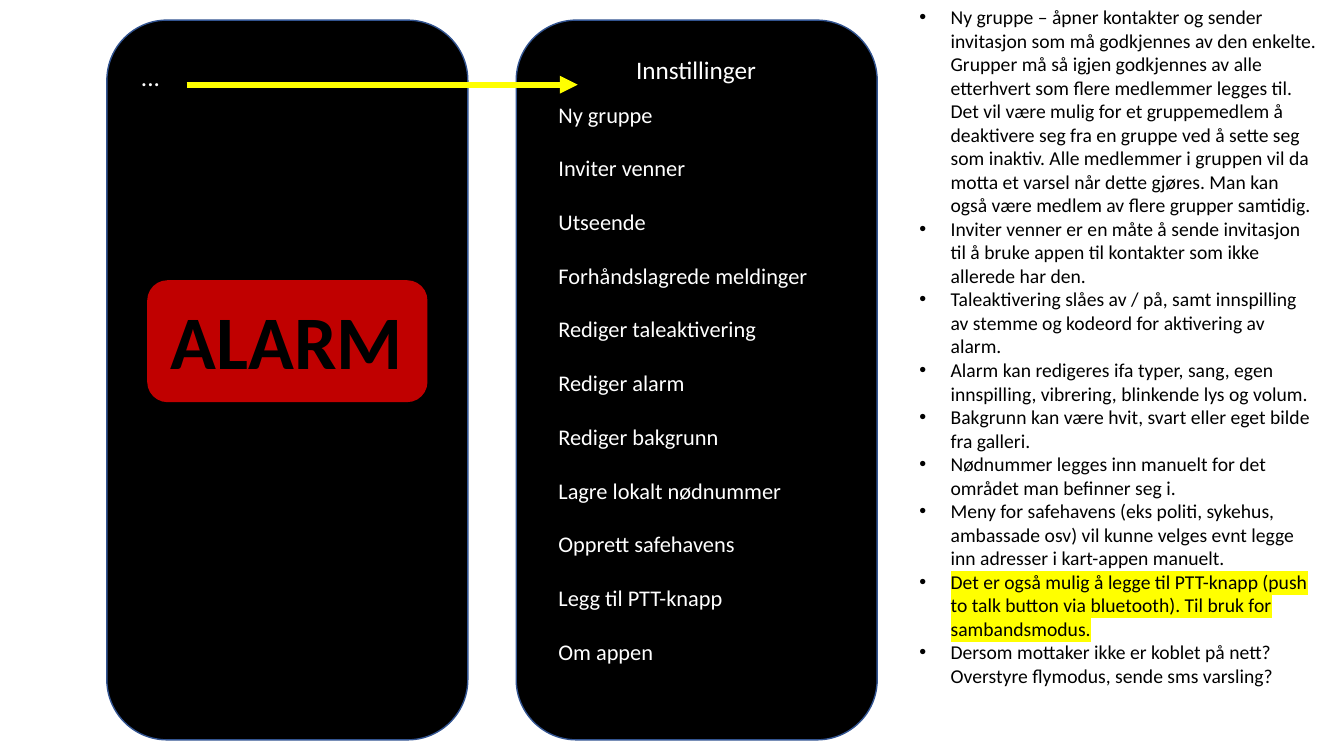
import dataclasses
import typing

import lxml.etree
import pptx
import pptx.dml.color
import pptx.enum.shapes
import pptx.enum.text
import pptx.oxml.ns
import pptx.util

Inches = pptx.util.Inches
Pt = pptx.util.Pt
qn = pptx.oxml.ns.qn

COLORS = {
    "black": "000000",
    "white": "FFFFFF",
    "alarm": "C00000",
    "edge": "325491",
    "yellow": "FFFF00",
}
FONT = "Calibri"
BULLET_INDENT = Inches(0.31)

MENU = [
    "Ny gruppe",
    "Inviter venner",
    "Utseende",
    "Forhåndslagrede meldinger",
    "Rediger taleaktivering",
    "Rediger alarm",
    "Rediger bakgrunn",
    "Lagre lokalt nødnummer",
    "Opprett safehavens",
    "Legg til PTT-knapp",
    "Om appen",
]
PTT_NOTE = (
    "Det er også mulig å legge til PTT-knapp (push to talk button via bluetooth). "
    "Til bruk for sambandsmodus."
)
NOTES = [
    "Ny gruppe – åpner kontakter og sender invitasjon som må godkjennes av den enkelte. "
    "Grupper må så igjen godkjennes av alle etterhvert som flere medlemmer legges til. "
    "Det vil være mulig for et gruppemedlem å deaktivere seg fra en gruppe ved å sette seg "
    "som inaktiv. Alle medlemmer i gruppen vil da motta et varsel når dette gjøres. "
    "Man kan også være medlem av flere grupper samtidig.",
    "Inviter venner er en måte å sende invitasjon til å bruke appen til kontakter som ikke "
    "allerede har den.",
    "Taleaktivering slåes av / på, samt innspilling av stemme og kodeord for aktivering av "
    "alarm.",
    "Alarm kan redigeres ifa typer, sang, egen innspilling, vibrering, blinkende lys og volum.",
    "Bakgrunn kan være hvit, svart eller eget bilde fra galleri.",
    "Nødnummer legges inn manuelt for det området man befinner seg i.",
    "Meny for safehavens (eks politi, sykehus, ambassade osv) vil kunne velges evnt legge inn "
    "adresser i kart-appen manuelt.",
    PTT_NOTE,
    "Dersom mottaker ikke er koblet på nett? Overstyre flymodus, sende sms varsling?",
]


@dataclasses.dataclass
class Panel:
    left: float
    top: float
    width: float
    height: float
    fill: str
    edge: typing.Optional[str] = None


@dataclasses.dataclass
class Label:
    left: float
    top: float
    width: float
    height: float
    lines: list[str]
    size: float
    color: str = "white"
    wrap: bool = True
    bold: bool = False
    centered: bool = False
    bulleted: bool = False
    gap: float = 0
    outline: typing.Optional[str] = None
    highlighted: tuple[str, ...] = ()


def rgb(name: str) -> pptx.dml.color.RGBColor:
    return pptx.dml.color.RGBColor.from_string(COLORS[name])


def add_color(parent, tag: str, name: str) -> None:
    holder = lxml.etree.SubElement(parent, qn(tag))
    lxml.etree.SubElement(holder, qn("a:srgbClr"), val=COLORS[name])


def draw_panel(slide, panel: Panel) -> None:
    body = slide.shapes.add_shape(
        pptx.enum.shapes.MSO_SHAPE.ROUNDED_RECTANGLE,
        Inches(panel.left), Inches(panel.top), Inches(panel.width), Inches(panel.height),
    )
    body.shadow.inherit = False
    body.fill.solid()
    body.fill.fore_color.rgb = rgb(panel.fill)
    if panel.edge:
        body.line.color.rgb = rgb(panel.edge)
        body.line.width = Pt(1)
    else:
        body.line.fill.background()


def add_bullet(paragraph) -> None:
    properties = paragraph._p.get_or_add_pPr()
    properties.set("marL", str(BULLET_INDENT))
    properties.set("indent", str(-BULLET_INDENT))
    lxml.etree.SubElement(properties, qn("a:buFont"), typeface="Arial")
    lxml.etree.SubElement(properties, qn("a:buChar"), char="•")


def add_text(paragraph, text: str, label: Label) -> None:
    run = paragraph.add_run()
    run.text = text
    run.font.size = Pt(label.size)
    run.font.bold = label.bold
    run.font.color.rgb = rgb(label.color)
    properties = run._r.get_or_add_rPr()
    if label.outline:
        outline = lxml.etree.Element(qn("a:ln"), w=str(Pt(0.75)))
        add_color(outline, "a:solidFill", label.outline)
        properties.insert(0, outline)
    if text in label.highlighted:
        add_color(properties, "a:highlight", "yellow")
    run.font.name = FONT


def draw_label(slide, label: Label) -> None:
    box = slide.shapes.add_textbox(
        Inches(label.left), Inches(label.top), Inches(label.width), Inches(label.height)
    )
    frame = box.text_frame
    frame.word_wrap = label.wrap
    frame.auto_size = pptx.enum.text.MSO_AUTO_SIZE.SHAPE_TO_FIT_TEXT
    for index, text in enumerate(label.lines):
        paragraph = frame.add_paragraph() if index else frame.paragraphs[0]
        if label.bulleted:
            add_bullet(paragraph)
        if label.centered:
            paragraph.alignment = pptx.enum.text.PP_ALIGN.CENTER
        if index and label.gap:
            paragraph.space_before = Pt(label.gap)
        add_text(paragraph, text, label)


def draw_arrow(slide, start: float, end: float, height: float) -> None:
    arrow = slide.shapes.add_connector(
        pptx.enum.shapes.MSO_CONNECTOR.STRAIGHT,
        Inches(start), Inches(height), Inches(end), Inches(height),
    )
    arrow.line.color.rgb = rgb("yellow")
    arrow.line.width = Pt(4.25)
    lxml.etree.SubElement(arrow.line._get_or_add_ln(), qn("a:tailEnd"), type="triangle")
    lxml.etree.SubElement(arrow._element.spPr, qn("a:effectLst"))


def main() -> None:
    presentation = pptx.Presentation()
    presentation.slide_width = Inches(13.33)
    presentation.slide_height = Inches(7.5)
    slide = presentation.slides.add_slide(presentation.slide_layouts[6])

    for phone_left in (1.06, 5.12):
        draw_panel(slide, Panel(phone_left, 0.2, 3.58, 7.14, "black", "edge"))
    draw_panel(slide, Panel(1.46, 2.78, 2.78, 1.21, "alarm"))
    draw_arrow(slide, 1.85, 5.73, 0.84)

    labels = [
        Label(1.58, 2.87, 2.53, 1.01, ["ALARM"], 54, "black", wrap=False, bold=True,
              centered=True, outline="white"),
        Label(5.44, 0.95, 3.05, 6.06, MENU, 16, gap=19.2),
        Label(1.3, 0.56, 0.55, 0.4, ["..."], 18),
        Label(9.02, 0, 4.15, 6.93, NOTES, 14, "black", bulleted=True,
              highlighted=(PTT_NOTE,)),
        Label(6.21, 0.49, 1.85, 0.4, ["Innstillinger"], 18),
    ]
    for label in labels:
        draw_label(slide, label)

    presentation.save("out.pptx")


if __name__ == "__main__":
    main()
